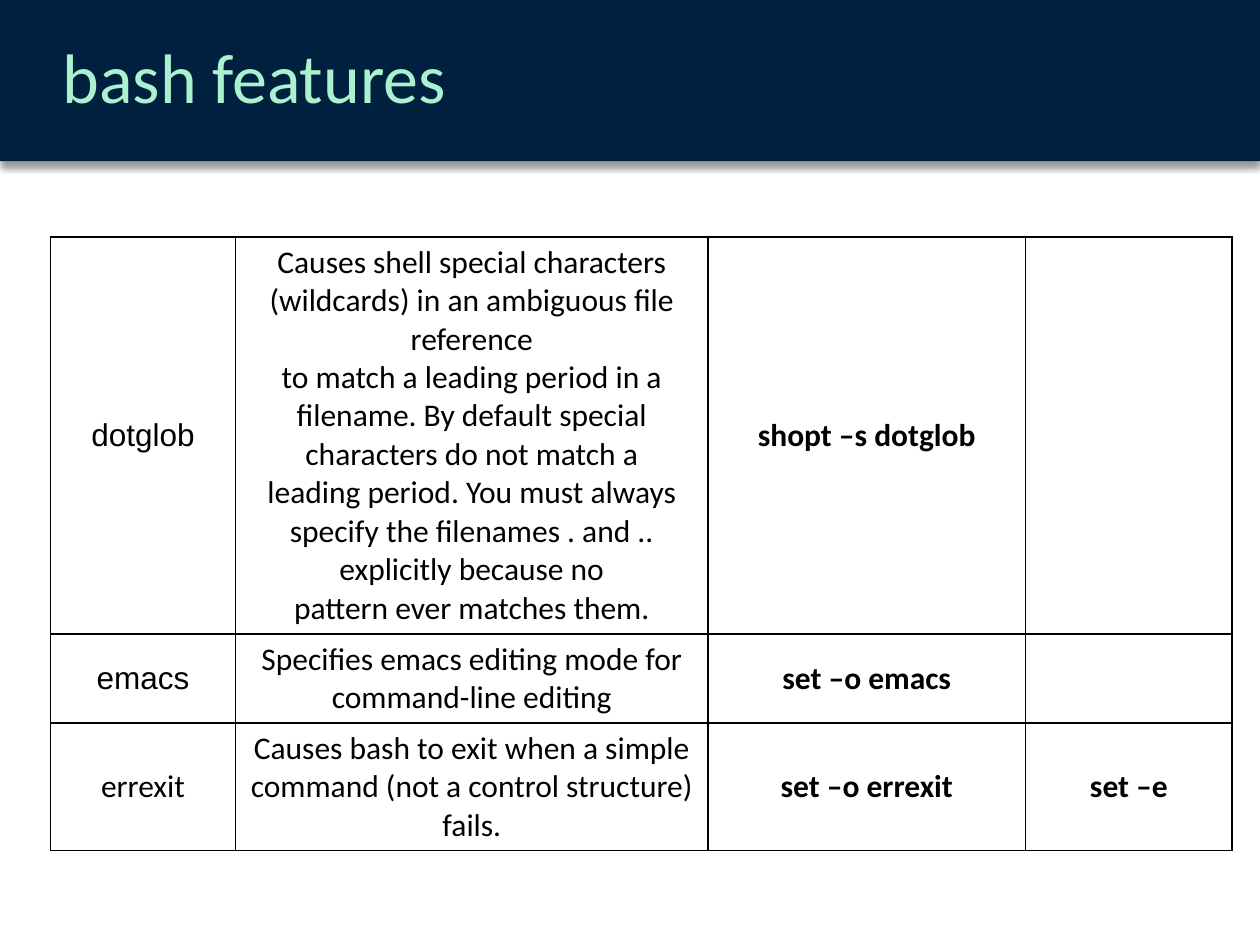
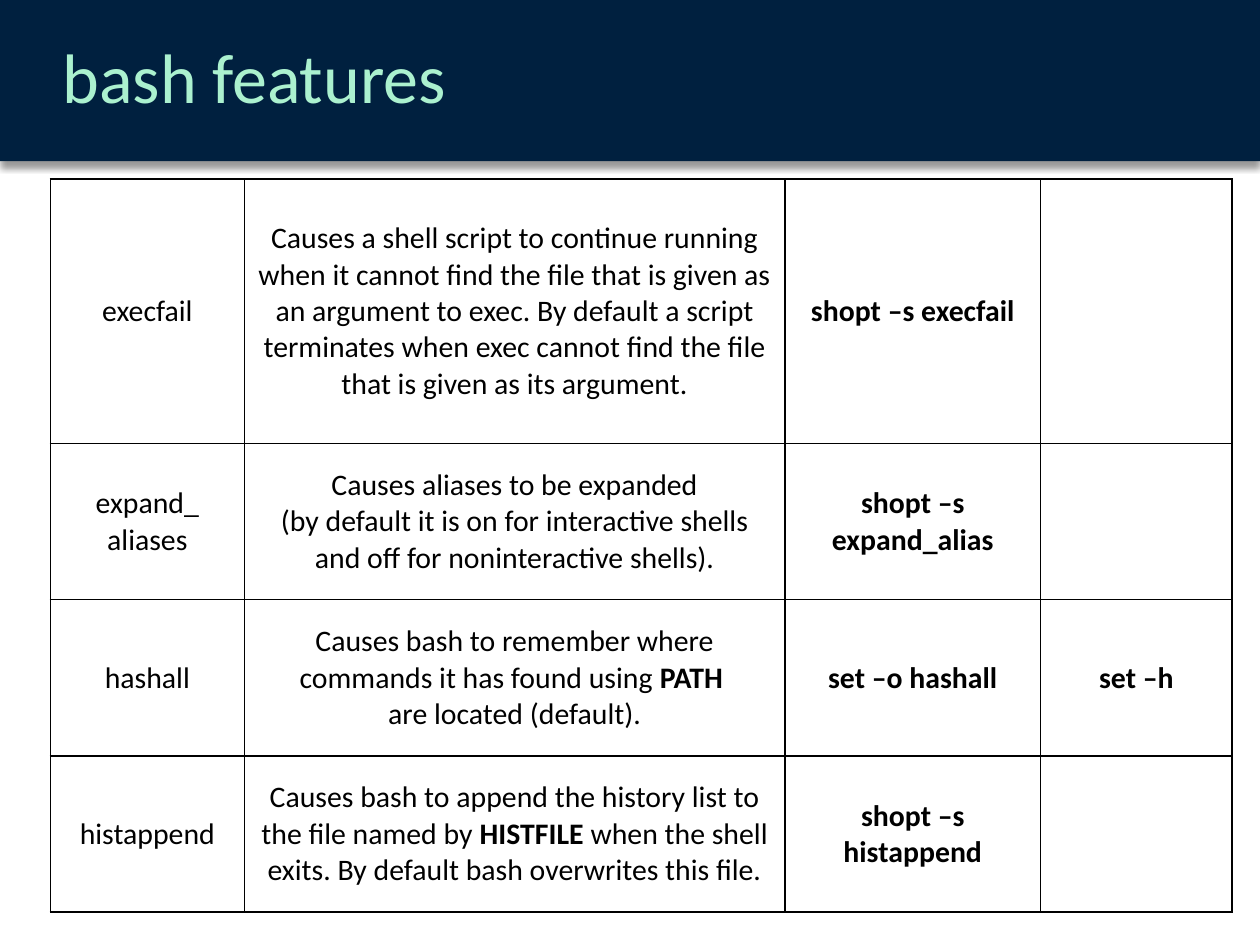
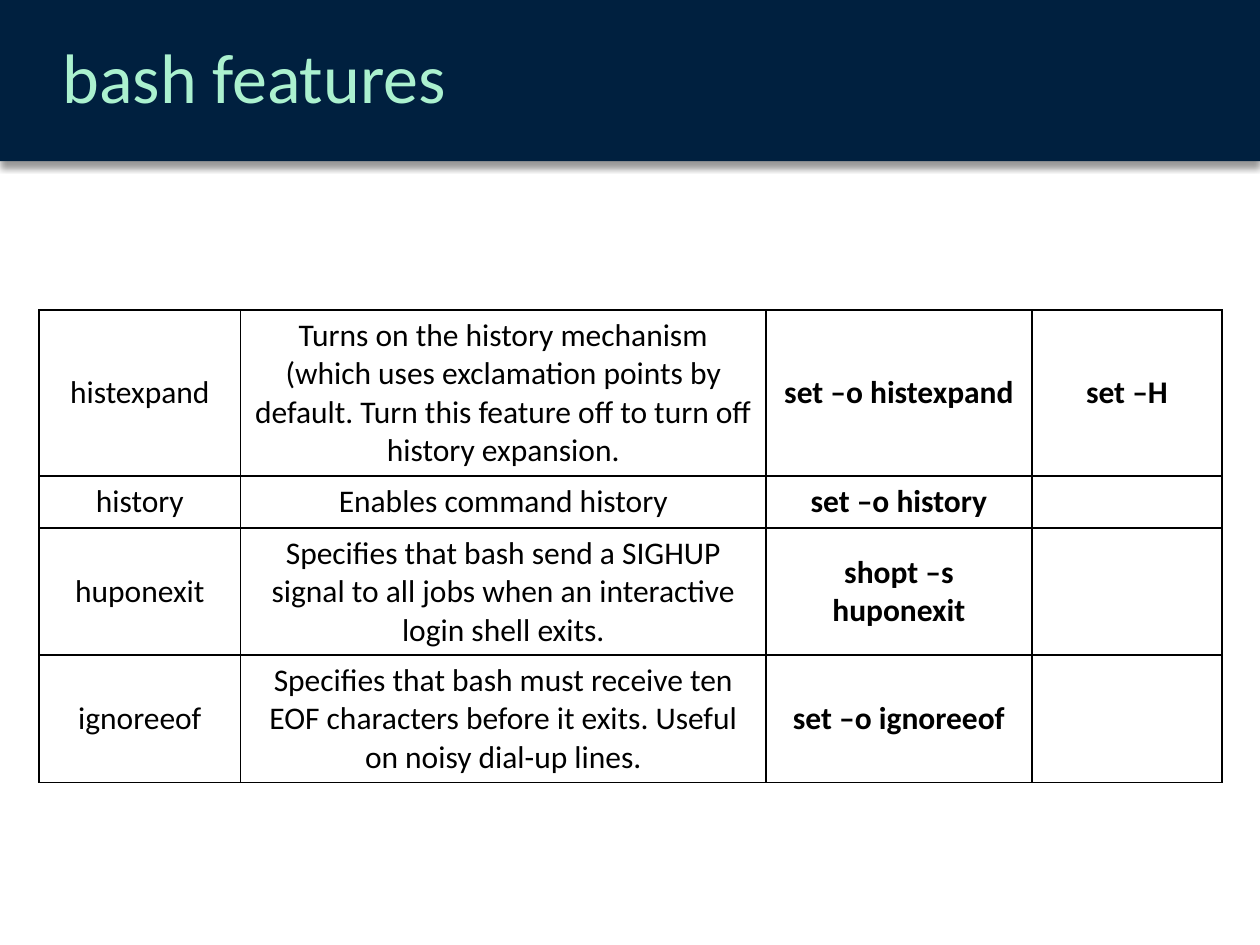
from lxml.etree import SubElement
from pptx import Presentation
from pptx.dml.color import RGBColor
from pptx.enum.shapes import MSO_SHAPE
from pptx.enum.text import MSO_ANCHOR, PP_ALIGN
from pptx.oxml.ns import qn
from pptx.util import Inches, Pt

NAVY, MINT, BLACK, WHITE = "00203F", "ABF1CF", "000000", "FFFFFF"
FONT = "Calibri"
ARIAL_NAMES = ("dotglob", "emacs")

SLIDES = [
    {
        "left": 0.4, "top": 1.88, "size": 18,
        "cols": [1.47, 3.75, 2.52, 1.64],
        "heights": [3.15, 0.71, 1.01],
        "rows": [
            ["dotglob",
             "Causes shell special characters (wildcards) in an ambiguous file reference\n"
             "to match a leading period in a filename. By default special characters do not match a\n"
             "leading period. You must always specify the filenames . and .. explicitly because no\n"
             "pattern ever matches them.",
             "shopt –s dotglob", ""],
            ["emacs", "Specifies emacs editing mode for command-line editing",
             "set –o emacs", ""],
            ["errexit",
             "Causes bash to exit when a simple command (not a control structure) fails.",
             "set –o errexit", "set –e"],
        ],
    },
    {
        "left": 0.4, "top": 1.42, "size": 17,
        "cols": [1.54, 4.29, 2.03, 1.52],
        "heights": [2.1, 1.24, 1.24, 1.24],
        "rows": [
            ["execfail",
             "Causes a shell script to continue running when it cannot find the file that is "
             "given as an argument to exec. By default a script terminates when exec cannot "
             "find the file that is given as its argument.",
             "shopt –s execfail", ""],
            ["expand_\naliases",
             "Causes aliases to be expanded\n"
             "(by default it is on for interactive shells and off for noninteractive shells).",
             "shopt –s expand_alias", ""],
            ["hashall",
             "Causes bash to remember where commands it has found using **PATH **\n"
             "are located (default).",
             "set –o hashall", "set –h"],
            ["histappend",
             "Causes bash to append the history list to the file named by **HISTFILE **"
             "when the shell exits. By default bash overwrites this file.",
             "shopt –s histappend", ""],
        ],
    },
    {
        "left": 0.31, "top": 2.46, "size": 18,
        "cols": [1.6, 4.17, 2.11, 1.51],
        "heights": [1.32, 0.41, 1.01, 1.01],
        "rows": [
            ["histexpand",
             "Turns on the history mechanism (which uses exclamation points by default. "
             "Turn this feature off to turn off history expansion.",
             "set –o histexpand", "set –H"],
            ["history", "Enables command history", "set –o history", ""],
            ["huponexit",
             "Specifies that bash send a SIGHUP signal to all jobs when an interactive "
             "login shell exits.",
             "shopt –s huponexit", ""],
            ["ignoreeof",
             "Specifies that bash must receive ten EOF characters before it exits. "
             "Useful on noisy dial-up lines.",
             "set –o ignoreeof", ""],
        ],
    },
]


def rgb(color):
    return RGBColor.from_string(color)


def add_run(p, text, size, color, font=FONT, bold=False):
    r = p.add_run()
    r.text = text
    r.font.name = font
    r.font.size = Pt(size)
    r.font.bold = bold
    r.font.color.rgb = rgb(color)


prs = Presentation()
prs.slide_width = Inches(10)
prs.slide_height = Inches(7.5)

for data in SLIDES:
    s = prs.slides.add_slide(prs.slide_layouts[6])
    s.background.fill.solid()
    s.background.fill.fore_color.rgb = rgb(WHITE)

    band = s.shapes.add_shape(MSO_SHAPE.RECTANGLE, 0, 0, prs.slide_width, Inches(1.28))
    band.fill.solid()
    band.fill.fore_color.rgb = rgb(NAVY)
    band.line.fill.background()
    band.shadow.inherit = False
    effects = band._element.spPr.find(qn("a:effectLst"))
    shadow = SubElement(effects, qn("a:outerShdw"), blurRad=str(Pt(4)), dist=str(Pt(3)),
                        dir="5400000", algn="t", rotWithShape="0")
    shade = SubElement(shadow, qn("a:srgbClr"), val=BLACK)
    SubElement(shade, qn("a:alpha"), val="40000")

    title = s.shapes.add_textbox(Inches(0.4), 0, Inches(9.6), Inches(1.28))
    tf = title.text_frame
    tf.word_wrap = True
    tf.vertical_anchor = MSO_ANCHOR.MIDDLE
    p = tf.paragraphs[0]
    p.line_spacing = 0.9
    p.space_after = Pt(6)
    add_run(p, "bash features", 40, MINT)

    cols, heights = data["cols"], data["heights"]
    table = s.shapes.add_table(len(heights), len(cols), Inches(data["left"]), Inches(data["top"]),
                               Inches(sum(cols)), Inches(sum(heights))).table
    table.first_row = False
    table.horz_banding = False
    for column, width in zip(table.columns, cols):
        column.width = Inches(width)
    for row, height, texts in zip(table.rows, heights, data["rows"]):
        row.height = Inches(height)
        for i, (cell, text) in enumerate(zip(row.cells, texts)):
            cell.vertical_anchor = MSO_ANCHOR.MIDDLE
            tcPr = cell._tc.get_or_add_tcPr()
            for side in ("a:lnL", "a:lnR", "a:lnT", "a:lnB"):
                border = SubElement(tcPr, qn(side), w=str(Pt(1)))
                SubElement(SubElement(border, qn("a:solidFill")), qn("a:srgbClr"), val=BLACK)
            cell.fill.solid()
            cell.fill.fore_color.rgb = rgb(WHITE)
            font = "Arial" if text in ARIAL_NAMES else FONT
            tf = cell.text_frame
            for j, line in enumerate(text.split("\n")):
                p = tf.paragraphs[0] if j == 0 else tf.add_paragraph()
                p.alignment = PP_ALIGN.CENTER
                for k, part in enumerate(line.split("**")):
                    if part:
                        add_run(p, part, data["size"], BLACK, font, i > 1 or k % 2 == 1)

prs.save("out.pptx")
